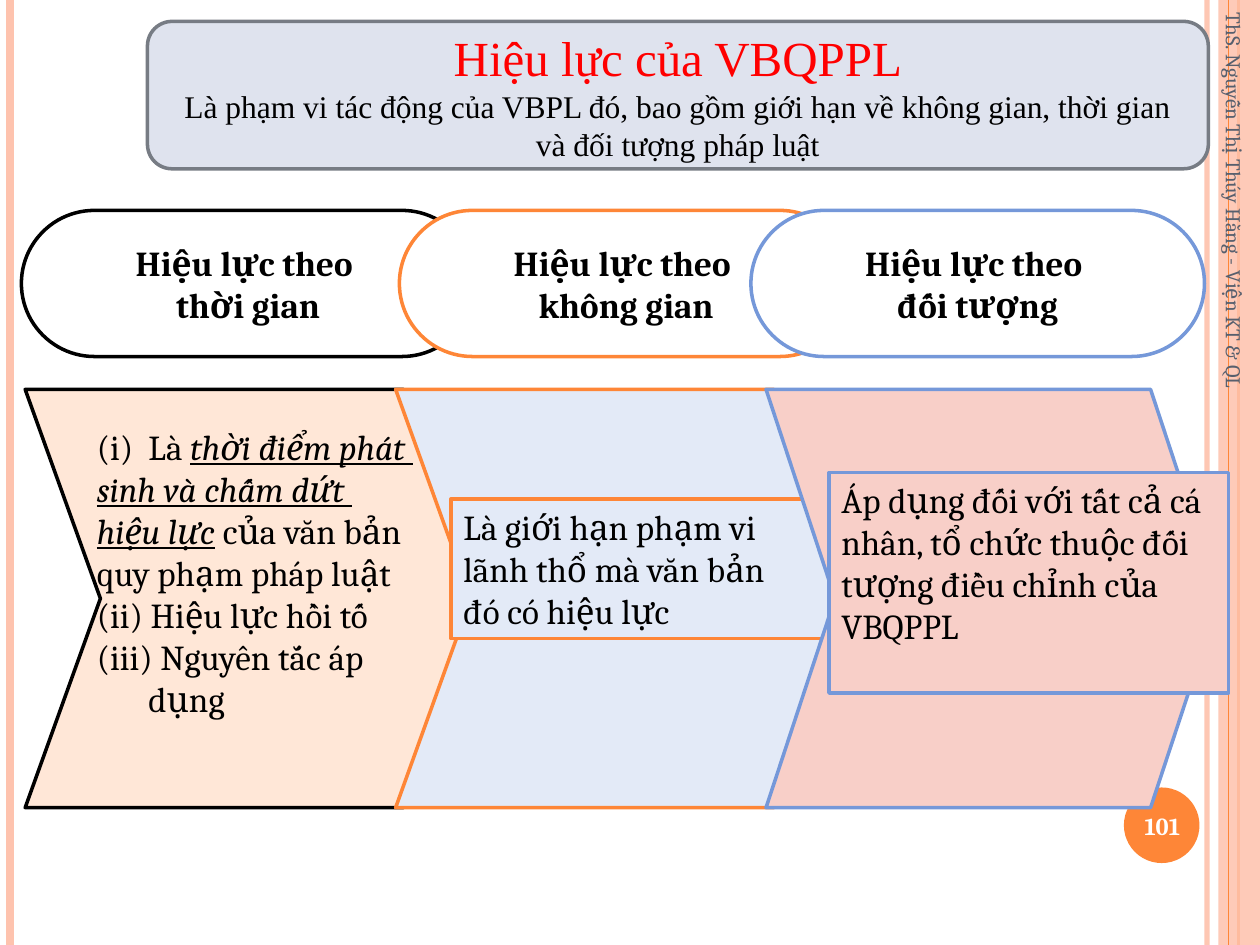
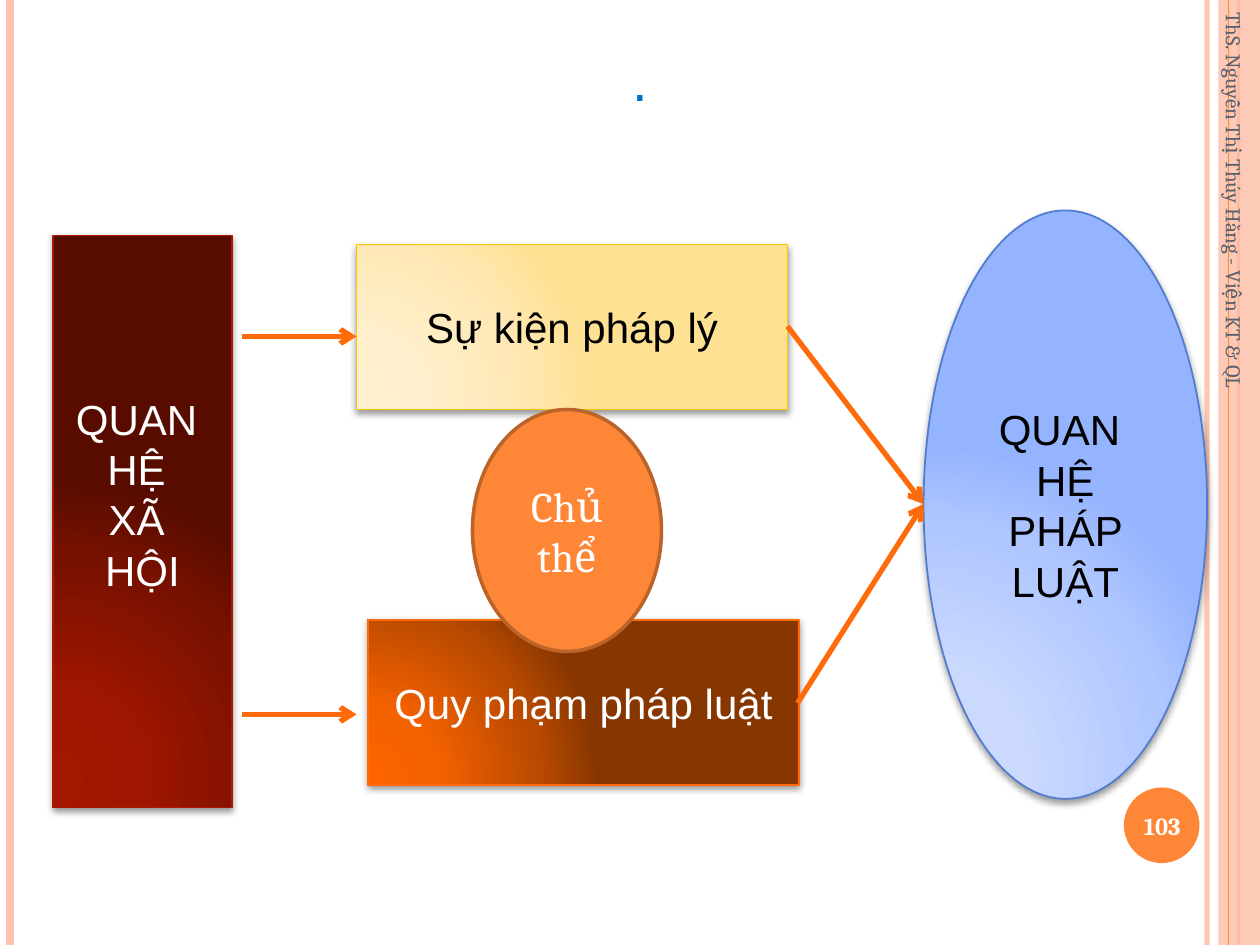
from lxml import etree
from pptx import Presentation
from pptx.dml.color import RGBColor
from pptx.enum.shapes import MSO_CONNECTOR, MSO_SHAPE
from pptx.enum.text import MSO_ANCHOR, PP_ALIGN
from pptx.oxml import parse_xml
from pptx.oxml.ns import nsdecls, qn
from pptx.util import Inches, Pt

RECT, OVAL = MSO_SHAPE.RECTANGLE, MSO_SHAPE.OVAL
ROUND, CHEVRON = MSO_SHAPE.ROUNDED_RECTANGLE, MSO_SHAPE.CHEVRON
STRAIGHT = MSO_CONNECTOR.STRAIGHT
LEFT, CENTER = PP_ALIGN.LEFT, PP_ALIGN.CENTER
TOP, MIDDLE = MSO_ANCHOR.TOP, MSO_ANCHOR.MIDDLE

BLACK = RGBColor(0x00, 0x00, 0x00)
WHITE = RGBColor(0xFF, 0xFF, 0xFF)
RED = RGBColor(0xFF, 0x00, 0x00)
ORANGE = RGBColor(0xFE, 0x86, 0x37)
RUST = RGBColor(0xBC, 0x63, 0x29)
PEACH = RGBColor(0xFE, 0xC3, 0xAE)
BLUE = RGBColor(0x75, 0x98, 0xD9)
SLATE = RGBColor(0x57, 0x5F, 0x6D)
GREY = RGBColor(0x77, 0x7C, 0x84)
MIST = RGBColor(0xDF, 0xE3, 0xEE)
CREAM = RGBColor(0xFF, 0xE7, 0xD7)
ICE = RGBColor(0xE3, 0xEA, 0xF7)
ROSE = RGBColor(0xF8, 0xCF, 0xC8)
SKY = RGBColor(0x00, 0x70, 0xC0)
FLAME = RGBColor(0xFF, 0x6B, 0x0A)
BRICK = RGBColor(0xAC, 0x18, 0x00)
GOLD = RGBColor(0xF8, 0xC7, 0x00)
NAVY = RGBColor(0x4F, 0x7C, 0xCF)

SERIF, SANS, TIMES = "Cambria", "Arial", "Times New Roman"
STOPS = (0, 30, 75, 100)
AUTHOR = "ThS. Nguyễn Thị Thúy Hằng - Viện KT & QL"


def fade(item, percent):
    """Make the first solid colour of a shape or line partly see-through."""
    color = next(item._element.spPr.iter(qn("a:srgbClr")))
    etree.SubElement(color, qn("a:alpha"), val=str(percent * 1000))


def place(box):
    return [Inches(n) for n in box]


def draw(slide, kind, box, fill=None, edge=None, width=2, adj=None):
    shape = slide.shapes.add_shape(kind, *place(box))
    shape.shadow.inherit = False
    if fill is not None:
        shape.fill.solid()
        shape.fill.fore_color.rgb = fill
    if edge is None:
        shape.line.fill.background()
    else:
        shape.line.color.rgb = edge
        shape.line.width = Pt(width)
    if adj is not None:
        shape.adjustments[0] = adj
    return shape


def glow(slide, kind, box, shades, edge, shade=(40, 2)):
    """Draw a shape lit from its lower left, with a soft shadow below."""
    shape = draw(slide, kind, box, edge=edge, width=1)
    stops = "".join(
        f'<a:gs pos="{pos * 1000}"><a:srgbClr val="{tint}"/></a:gs>'
        for pos, tint in zip(STOPS, shades))
    props = shape._element.spPr
    props.find(qn("a:prstGeom")).addnext(parse_xml(
        f'<a:gradFill {nsdecls("a")} rotWithShape="1"><a:gsLst>{stops}</a:gsLst>'
        '<a:path path="circle"><a:fillToRect l="5000" t="100000" r="120000" '
        'b="10000"/></a:path></a:gradFill>'))
    alpha, drop = shade
    props.find(qn("a:effectLst")).append(parse_xml(
        f'<a:outerShdw {nsdecls("a")} blurRad="{Pt(4)}" dist="{Pt(drop)}" '
        'dir="5400000" rotWithShape="0"><a:srgbClr val="000000">'
        f'<a:alpha val="{alpha * 1000}"/></a:srgbClr></a:outerShdw>'))
    return shape


def write(shape, lines, size, color=BLACK, font=SERIF, bold=False,
          align=CENTER, anchor=MIDDLE, wrap=True):
    """Fill a shape with paragraphs; text between underscores is stressed."""
    frame = shape.text_frame
    frame.word_wrap = wrap
    frame.vertical_anchor = anchor
    for i, text in enumerate(lines):
        para = frame.paragraphs[0] if i == 0 else frame.add_paragraph()
        para.alignment = align
        style(para, size, color, font, bold)
        for j, part in enumerate(text.split("_")):
            if part:
                run = para.add_run()
                run.text = part
                if j % 2:
                    run.font.italic = run.font.underline = True
    return frame


def style(para, size, color, font, bold=False):
    para.font.size = Pt(size)
    para.font.color.rgb = color
    para.font.name = font
    para.font.bold = bold


def label(slide, box, lines, size, color=BLACK, **look):
    shape = slide.shapes.add_textbox(*place(box))
    write(shape, lines, size, color, **look)
    return shape


def rule(slide, start, end, color, width, arrow=False):
    line = slide.shapes.add_connector(STRAIGHT, *place(start + end))
    line.line.color.rgb = color
    line.line.width = Pt(width)
    props = line._element.spPr
    if arrow:
        etree.SubElement(props.find(qn("a:ln")), qn("a:tailEnd"), type="arrow")
    etree.SubElement(props, qn("a:effectLst"))
    return line


def edges(slide):
    """Draw the side stripes and the disc for the page number."""
    def stripe(x, color, width):
        return rule(slide, (x, 0), (x, 7.5), color, width)

    fade(stripe(9.58, PEACH, 3), 93)
    stripe(0.08, PEACH, 4.5)
    stripe(9.83, ORANGE, 1.5)
    fade(draw(slide, RECT, (9.67, 0, 0.33, 7.5), PEACH), 87)
    stripe(9.75, ORANGE, 0.75)
    draw(slide, OVAL, (8.92, 6.25, 0.6, 0.6), ORANGE)


def footer(slide, page):
    label(slide, (7.86, 1.74, 3.87, 0.4), [AUTHOR], 12, SLATE,
          align=LEFT).rotation = 90
    label(slide, (8.89, 6.27, 0.67, 0.57), [page], 14, WHITE, bold=True)


def number(para):
    """Give a paragraph a roman number in brackets."""
    etree.SubElement(para._p.get_or_add_pPr(), qn("a:buAutoNum"),
                     type="romanLcParenBoth")


def hang(frame, depth):
    for para in frame.paragraphs:
        props = para._p.get_or_add_pPr()
        props.set("marL", str(Inches(depth)))
        props.set("indent", str(-Inches(depth)))


def effect(slide):
    """Slide on the three kinds of legal effect."""
    edges(slide)
    scopes = [(0.17, "thời gian", BLACK), (3.17, "không gian", ORANGE),
              (5.96, "đối tượng", BLUE)]
    for x, scope, edge in scopes:
        pill = draw(slide, ROUND, (x, 1.67, 3.6, 1.16), WHITE, edge, adj=0.5)
        write(pill, ["Hiệu lực theo ", scope], 20, bold=True, wrap=False)

    def chevron(i, fill, edge, adj=0.18):
        draw(slide, CHEVRON, (0.2 + 2.94 * i, 3.09, 3.6, 3.32), fill, edge, adj=adj)

    def panel(box, fill, edge, lines):
        write(draw(slide, RECT, box, fill, edge), lines, 20,
              align=LEFT, anchor=TOP)

    chevron(0, CREAM, BLACK)
    steps = slide.shapes.add_textbox(*place((0.67, 3.33, 2.75, 3.13)))
    number(steps.text_frame.paragraphs[0])
    frame = write(steps, [
        "Là _thời điểm phát _", "_sinh và chấm dứt _",
        "_hiệu lực_ của văn bản", "quy phạm pháp luật",
        "(ii) Hiệu lực hồi tố", "(iii) Nguyên tắc áp dụng",
    ], 20, align=LEFT, anchor=TOP)
    hang(frame, 0.41)

    chevron(1, ICE, ORANGE)
    panel((3.58, 3.96, 3.08, 1.11), ICE, ORANGE,
          ["Là giới hạn phạm vi", "lãnh thổ mà văn bản", "đó có hiệu lực"])
    chevron(2, ROSE, BLUE, 0.165)
    panel((6.58, 3.75, 3.17, 1.75), ROSE, BLUE,
          ["Áp dụng đối với tất cả cá nhân, tổ chức thuộc đối tượng "
           "điều chỉnh của VBQPPL"])

    title = draw(slide, ROUND, (1.17, 0.17, 8.42, 1.17), MIST, GREY)
    frame = write(title, [
        "Hiệu lực của VBQPPL",
        "Là phạm vi tác động của VBPL đó, bao gồm giới hạn về không gian, "
        "thời gian và đối tượng pháp luật"], 18, font=TIMES)
    style(frame.paragraphs[0], 28, RED, TIMES)
    footer(slide, "101")


def relation(slide):
    """Slide on how social relations become legal relations."""
    edges(slide)
    label(slide, (1.5, 0.25, 7.17, 0.75), ["."], 32, SKY, font=SANS)

    social = glow(slide, RECT, (0.42, 1.87, 1.42, 4.54),
                  ("A41700", "9F1600", "771100", "580C00"), BRICK, (42, 1.6))
    frame = write(social, ["QUAN ", "HỆ ", "XÃ ", "HỘI"], 24, WHITE, SANS,
                  anchor=TOP)
    frame.margin_top = Inches(1.25)

    event = glow(slide, RECT, (2.83, 1.94, 3.42, 1.31),
                 ("FFF0D1", "FFEFCC", "FFE7B1", "FFE193"), GOLD)
    write(event, ["Sự kiện pháp lý"], 24, font=SANS)
    norm = glow(slide, RECT, (2.92, 4.92, 3.42, 1.31),
                ("FD6400", "F46100", "B74900", "873600"), FLAME, (42, 1.6))
    write(norm, ["Quy phạm pháp luật"], 24, WHITE, SANS)
    legal = glow(slide, OVAL, (7.33, 1.67, 2.25, 4.67),
                 ("CFDCFF", "CBD9FF", "AFC6FF", "95B4FF"), NAVY)
    write(legal, ["QUAN ", "HỆ", "PHÁP LUẬT"], 24, font=SANS)

    arrows = [((1.92, 2.67), (2.83, 2.67)), ((1.92, 5.67), (2.83, 5.67)),
              ((6.25, 2.59), (7.33, 4)), ((6.33, 5.58), (7.33, 4))]
    for start, end in arrows:
        rule(slide, start, end, FLAME, 3, arrow=True)
    footer(slide, "103")
    actor = draw(slide, OVAL, (3.75, 3.25, 1.5, 1.92), ORANGE, RUST)
    write(actor, ["Chủ thể"], 24, WHITE)


def main():
    deck = Presentation()
    deck.slide_width, deck.slide_height = Inches(10), Inches(7.5)
    for build in (effect, relation):
        build(deck.slides.add_slide(deck.slide_layouts[6]))
    deck.save("out.pptx")


if __name__ == "__main__":
    main()
